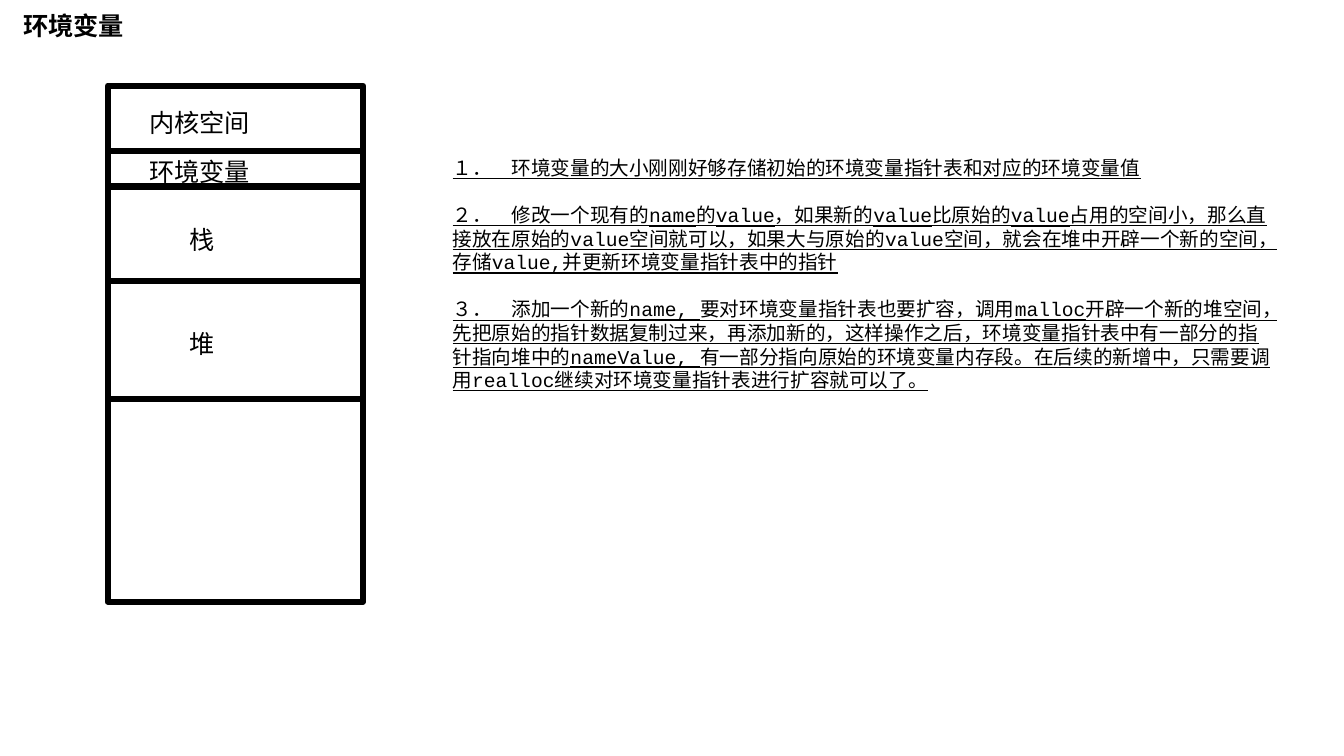
from pptx import Presentation
from pptx.dml.color import RGBColor
from pptx.enum.shapes import MSO_CONNECTOR, MSO_SHAPE
from pptx.oxml.ns import qn
from pptx.util import Inches, Pt
from lxml.etree import SubElement

COLOURS = {"ink": "000000", "paper": "FFFFFF"}
BORDER = Pt(4.5)
MEMORY_LEFT, MEMORY_TOP, MEMORY_WIDTH, MEMORY_HEIGHT = 1.07, 0.85, 2.53, 5.12
SEGMENT_BOUNDARIES = (1.5, 1.85, 2.79, 3.96)
SEGMENT_LABELS = (
    ("内核空间", 1.38, 1.02),
    ("环境变量", 1.38, 1.5),
    ("栈", 1.78, 2.18),
    ("堆", 1.78, 3.21),
)
TITLE_FONT = {"name": "Courier New", "size": Pt(18), "bold": True}
LABEL_FONT = {"name": "Arial", "size": Pt(18)}
NOTE_FONT = {"name": "Courier New", "size": Pt(14), "underline": True}
NOTES = (
    "1.　环境变量的大小刚刚好够存储初始的环境变量指针表和对应的环境变量值".replace("1.", "１．"),
    "２．　修改一个现有的name的value，如果新的value比原始的value占用的空间小，"
    "那么直接放在原始的value空间就可以，如果大与原始的value空间，"
    "就会在堆中开辟一个新的空间，存储value,并更新环境变量指针表中的指针",
    "３．　添加一个新的name, 要对环境变量指针表也要扩容，调用malloc开辟一个新的堆空间，"
    "先把原始的指针数据复制过来，再添加新的，这样操作之后，"
    "环境变量指针表中有一部分的指针指向堆中的nameValue, "
    "有一部分指向原始的环境变量内存段。在后续的新增中，"
    "只需要调用realloc继续对环境变量指针表进行扩容就可以了。",
)
NOTES = (NOTES[0],) + NOTES[1:]


def colour(key):
    """Return the named colour."""
    return RGBColor.from_string(COLOURS[key])


def add_text(slide, box, paragraphs, font_format, gap=0):
    """Add wrapped text with a gap between its paragraphs."""
    frame = slide.shapes.add_textbox(*map(Inches, box)).text_frame
    frame.word_wrap = True
    for index, wording in enumerate(paragraphs):
        paragraph = frame.add_paragraph() if index else frame.paragraphs[0]
        paragraph.space_before = Pt(gap if index else 0)
        run = paragraph.add_run()
        run.text = wording
        run.font.color.rgb = colour("ink")
        for attribute, value in font_format.items():
            setattr(run.font, attribute, value)


def draw_border(line):
    """Give a line the heavy memory border."""
    line.color.rgb = colour("ink")
    line.width = BORDER


def add_memory(slide):
    """Add the outline of the address space."""
    box = (MEMORY_LEFT, MEMORY_TOP, MEMORY_WIDTH, MEMORY_HEIGHT)
    memory = slide.shapes.add_shape(MSO_SHAPE.RECTANGLE, *map(Inches, box))
    memory.shadow.inherit = False
    memory.fill.background()
    draw_border(memory.line)


def add_boundary(slide, y):
    """Add a boundary across the address space."""
    ends = (MEMORY_LEFT, y, MEMORY_LEFT + MEMORY_WIDTH, y)
    boundary = slide.shapes.add_connector(MSO_CONNECTOR.STRAIGHT, *map(Inches, ends))
    draw_border(boundary.line)
    SubElement(boundary.line._get_or_add_ln().getparent(), qn("a:effectLst"))


def main():
    """Build the environment variable slide."""
    deck = Presentation()
    deck.slide_width, deck.slide_height = Inches(13.33), Inches(7.5)
    slide = deck.slides.add_slide(deck.slide_layouts[6])
    slide.background.fill.solid()
    slide.background.fill.fore_color.rgb = colour("paper")
    add_text(slide, (0.13, 0.05, 2.68, 0.4), ["环境变量"], TITLE_FONT)
    add_memory(slide)
    for y in SEGMENT_BOUNDARIES:
        add_boundary(slide, y)
    for segment, left, top in SEGMENT_LABELS:
        add_text(slide, (left, top, 1.74, 0.4), [segment], LABEL_FONT)
    add_text(slide, (4.39, 1.5, 8.37, 2.69), NOTES, NOTE_FONT, gap=16.8)
    deck.save("out.pptx")


main()
